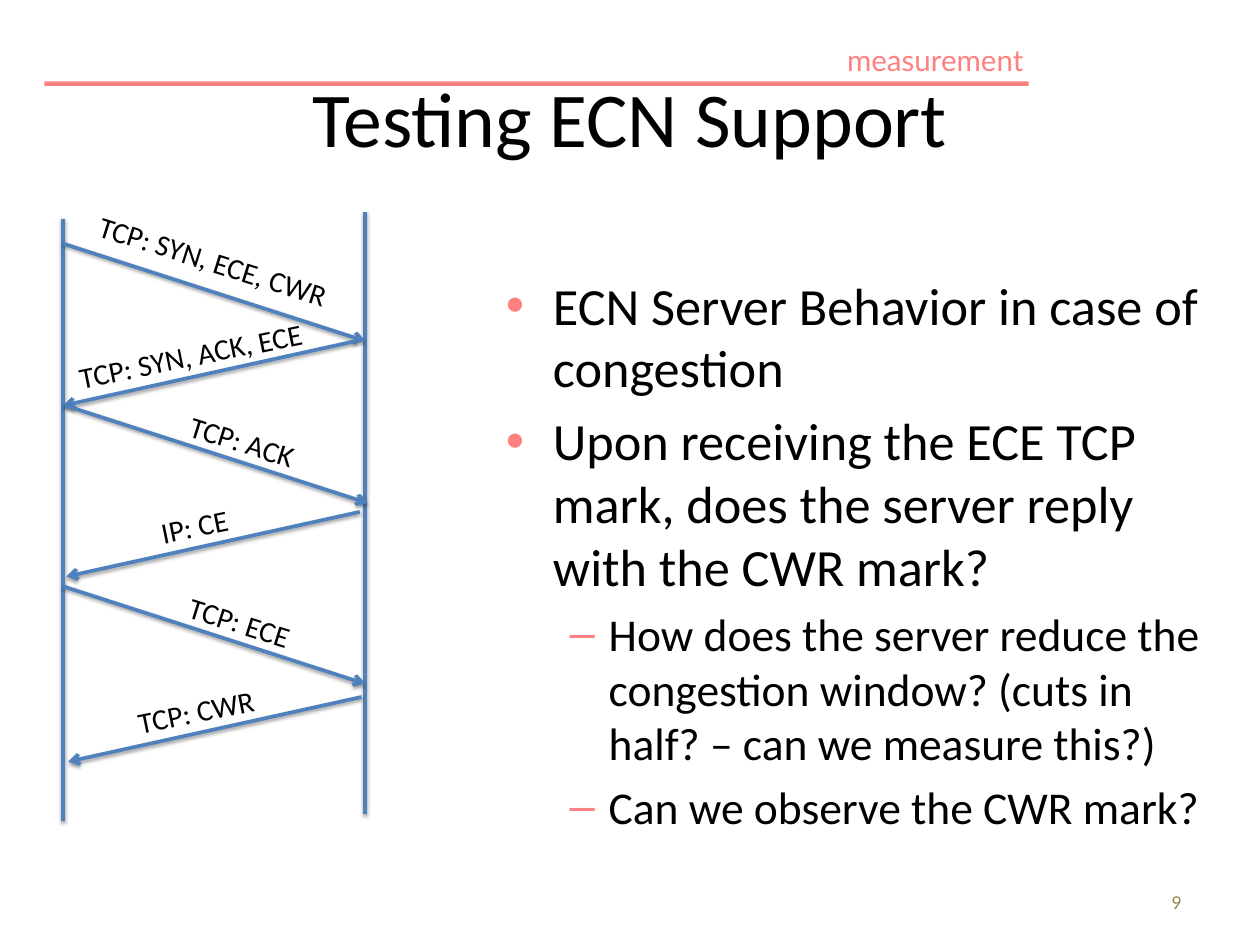
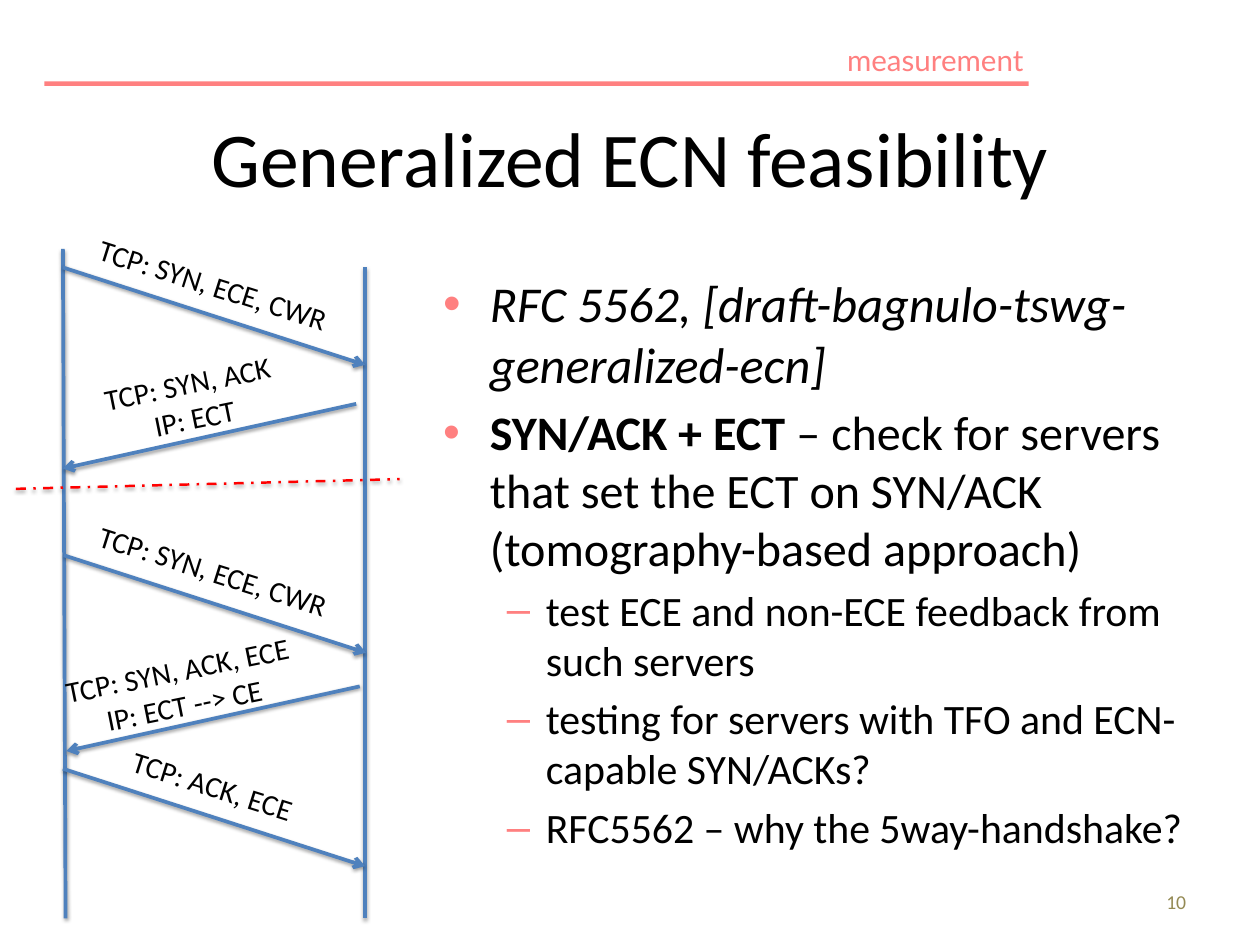
"""Build two slides on testing ECN support with message sequence diagrams."""
import dataclasses

import lxml.etree
import pptx
import pptx.dml.color
import pptx.enum.dml
import pptx.enum.shapes
import pptx.enum.text
import pptx.oxml
import pptx.oxml.ns
import pptx.util

Inches = pptx.util.Inches
Pt = pptx.util.Pt
qn = pptx.oxml.ns.qn
ALIGN = pptx.enum.text.PP_ALIGN
ANCHOR = pptx.enum.text.MSO_ANCHOR
AUTO_SIZE = pptx.enum.text.MSO_AUTO_SIZE


@dataclasses.dataclass(frozen=True)
class Theme:
    """Colours, fonts and type sizes shared by the slides."""
    accent: str = "FF8080"
    text: str = "000000"
    line: str = "4F81BD"
    divider: str = "FF0000"
    number: str = "948A54"
    font: str = "Calibri"
    section_font: str = "Lato"
    title_size: float = 63
    label_size: float = 24
    number_size: float = 16
    line_width: float = 3
    divider_width: float = 2


THEME = Theme()
SECTION = "measurement"
BAND_BOX = (0.5, 0.92, 11.11, 0.05)
SECTION_BOX = (9.44, 0.41, 2.17, 0.52)
NUMBER_BOX = (12.88, 9.98, 0.79, 0.39)
TEXT_INSETS = (0.14, 0.07)
SECTION_INSETS = (0.06, 0.06)
LABEL_INSETS = (0.1, 0.05)

BULLETS = [("•", 0.53, -0.53), ("–", 1.16, -0.44)]
REQUEST = {"step": (3.41, 1.1), "rotation": 17.5}
REPLY = {"step": (-3.31, 0.73), "rotation": 348.6}

SLIDES = [
    {
        "title": "Testing ECN Support",
        "title_top": 0.43,
        "number": "9",
        "body_box": (5.57, 3.01, 8.11, 6.73),
        "body": [
            (0, 42.5, [("ECN Server Behavior in case of congestion", "")]),
            (0, 42.5, [("Upon receiving the ECE TCP mark, does the server reply "
                        "with the CWR mark?", "")]),
            (1, 37, [("How does the server reduce the congestion window? "
                      "(cuts in half? – can we measure this?)", "")]),
            (1, 37, [("Can we observe the CWR mark?", "")]),
        ],
        "lifelines": [((0.71, 2.47), (0.71, 9.27)), ((4.12, 2.39), (4.12, 9.19))],
        "dividers": [],
        "messages": [
            (REQUEST, (0.71, 2.75), (0.95, 2.69, 2.91), ["TCP: SYN, ECE, CWR"]),
            (REPLY, (4.02, 3.85), (0.75, 3.76, 2.8), ["TCP: SYN, ACK, ECE"]),
            (REQUEST, (0.74, 4.58), (2.02, 4.73, 1.43), ["TCP: ACK"]),
            (REPLY, (4.06, 5.78), (1.71, 5.69, 0.97), ["IP: CE"]),
            (REQUEST, (0.71, 6.62), (2.01, 6.77, 1.39), ["TCP: ECE"]),
            (REPLY, (4.08, 7.87), (1.44, 7.78, 1.54), ["TCP: CWR"]),
        ],
    },
    {
        "title": "Generalized ECN feasibility",
        "title_top": 0.88,
        "number": "10",
        "body_box": (4.86, 3.01, 9.11, 6.73),
        "body": [
            (0, 40.8, [("RFC 5562, [draft-bagnulo-tswg-generalized-ecn]", "italic")]),
            (0, 39.1, [("SYN/ACK + ECT ", "bold"),
                       ("– check for servers that set the ECT on SYN/ACK "
                        "(tomography-based approach)", "")]),
            (1, 34, [("test ECE and non-ECE feedback from such servers", "")]),
            (1, 34, [("testing for servers with TFO and ECN-capable SYN/ACKs?", "")]),
            (1, 34, [("RFC5562 – why the 5way-handshake?", "")]),
        ],
        "lifelines": [((0.71, 2.81), (0.74, 10.37)), ((4.12, 3.02), (4.12, 10.37))],
        "dividers": [((0.18, 5.52), (4.51, 5.41))],
        "messages": [
            (REQUEST, (0.71, 3.02), (0.95, 2.96, 2.91), ["TCP: SYN, ECE, CWR"]),
            (REPLY, (4.02, 4.56), (1.09, 4.07, 2.13), ["TCP: SYN, ACK", "IP: ECT"]),
            (REPLY, (4.06, 7.75), (0.64, 7.31, 2.8),
             ["TCP: SYN, ACK, ECE", "IP: ECT --> CE"]),
            (REQUEST, (0.72, 6.27), (0.95, 6.19, 2.91), ["TCP: SYN, ECE, CWR"]),
            (REQUEST, (0.71, 8.68), (1.35, 8.62, 2.1), ["TCP: ACK, ECE"]),
        ],
    },
]


def rgb(value):
    """Return a colour object for a hex value."""
    return pptx.dml.color.RGBColor.from_string(value)


def format_run(run, size, color=THEME.text, font=THEME.font):
    """Set the font of a run."""
    run.font.size = Pt(size)
    run.font.name = font
    run.font.color.rgb = rgb(color)


def set_frame(frame, insets, wrap=True, anchor=ANCHOR.TOP, auto_size=AUTO_SIZE.NONE):
    """Set the margins and layout of a text frame."""
    frame.margin_left = frame.margin_right = Inches(insets[0])
    frame.margin_top = frame.margin_bottom = Inches(insets[1])
    frame.word_wrap = wrap
    frame.vertical_anchor = anchor
    frame.auto_size = auto_size


def add_text(slide, box, lines, size, align, insets, color=THEME.text,
             font=THEME.font, **layout):
    """Add a text box with one paragraph for each line."""
    shape = slide.shapes.add_textbox(*map(Inches, box))
    set_frame(shape.text_frame, insets, **layout)
    shape.text_frame.text = "\n".join(lines)
    for paragraph in shape.text_frame.paragraphs:
        paragraph.alignment = align
        for run in paragraph.runs:
            format_run(run, size, color, font)
    return shape


def add_title(slide, text, top):
    """Place and format the title placeholder."""
    title = slide.shapes.title
    title.left, title.top, title.width, title.height = map(
        Inches, (0.71, top, 12.8, 1.78))
    set_frame(title.text_frame, TEXT_INSETS, anchor=ANCHOR.MIDDLE)
    title.text_frame.text = text
    paragraph = title.text_frame.paragraphs[0]
    paragraph.alignment = ALIGN.CENTER
    format_run(paragraph.runs[0], THEME.title_size)


def add_frame(slide, number):
    """Add the band, section name and slide number."""
    band = slide.shapes.add_shape(
        pptx.enum.shapes.MSO_SHAPE.RECTANGLE, *map(Inches, BAND_BOX))
    band.shadow.inherit = False
    band.fill.solid()
    band.fill.fore_color.rgb = rgb(THEME.accent)
    band.line.fill.background()
    add_text(slide, SECTION_BOX, [SECTION], THEME.label_size, ALIGN.RIGHT,
             SECTION_INSETS, THEME.accent, THEME.section_font, wrap=False,
             anchor=ANCHOR.MIDDLE, auto_size=AUTO_SIZE.SHAPE_TO_FIT_TEXT)
    add_text(slide, NUMBER_BOX, [number], THEME.number_size, ALIGN.CENTER,
             TEXT_INSETS, THEME.number, anchor=ANCHOR.MIDDLE)


def set_bullet(paragraph, level):
    """Give a paragraph the bullet and indent of its level."""
    character, margin, indent = BULLETS[level]
    properties = paragraph._p.get_or_add_pPr()
    properties.set("marL", str(Inches(margin)))
    properties.set("indent", str(Inches(indent)))
    color = lxml.etree.SubElement(properties, qn("a:buClr"))
    lxml.etree.SubElement(color, qn("a:srgbClr"), val=THEME.accent)
    lxml.etree.SubElement(properties, qn("a:buFont"), typeface="Arial")
    lxml.etree.SubElement(properties, qn("a:buChar"), char=character)


def add_body(slide, box, items):
    """Add the bulleted text."""
    frame = slide.shapes.add_textbox(*map(Inches, box)).text_frame
    set_frame(frame, TEXT_INSETS)
    for index, (level, size, parts) in enumerate(items):
        paragraph = frame.add_paragraph() if index else frame.paragraphs[0]
        paragraph.level = level
        paragraph.space_before = Pt(round(size * 0.2, 1))
        set_bullet(paragraph, level)
        for text, style in parts:
            run = paragraph.add_run()
            run.text = text
            format_run(run, size)
            run.font.bold = style == "bold"
            run.font.italic = style == "italic"


def add_line(slide, start, end, color=THEME.line, width=THEME.line_width, arrow=False):
    """Add a line with a soft shadow and an optional arrowhead."""
    line = slide.shapes.add_connector(
        pptx.enum.shapes.MSO_CONNECTOR.STRAIGHT, *map(Inches, (*start, *end)))
    line.line.color.rgb = rgb(color)
    line.line.width = Pt(width)
    if arrow:
        lxml.etree.SubElement(line.line._get_or_add_ln(), qn("a:tailEnd"), type="arrow")
    effects = lxml.etree.SubElement(line._element.spPr, qn("a:effectLst"))
    shadow = lxml.etree.SubElement(
        effects, qn("a:outerShdw"), blurRad=str(Pt(3.1)), dist=str(Pt(1.6)),
        dir="5400000", rotWithShape="0")
    shade = lxml.etree.SubElement(shadow, qn("a:srgbClr"), val="000000")
    lxml.etree.SubElement(shade, qn("a:alpha"), val="38000")
    return line


def add_message(slide, kind, start, label, lines):
    """Add a message arrow and its slanted label."""
    end = [origin + step for origin, step in zip(start, kind["step"])]
    add_line(slide, start, end, arrow=True)
    height = 0.09 + 0.41 * len(lines)
    shape = add_text(slide, (*label, height), lines, THEME.label_size, ALIGN.CENTER,
                     LABEL_INSETS, wrap=False, auto_size=AUTO_SIZE.SHAPE_TO_FIT_TEXT)
    shape.rotation = kind["rotation"]


def build_slide(presentation, content):
    """Add one slide with its text and sequence diagram."""
    slide = presentation.slides.add_slide(presentation.slide_layouts[5])
    add_frame(slide, content["number"])
    add_title(slide, content["title"], content["title_top"])
    add_body(slide, content["body_box"], content["body"])
    for start, end in content["lifelines"]:
        add_line(slide, start, end)
    for message in content["messages"]:
        add_message(slide, *message)
    for start, end in content["dividers"]:
        divider = add_line(slide, start, end, THEME.divider, THEME.divider_width)
        divider.line.dash_style = pptx.enum.dml.MSO_LINE.DASH_DOT


def main():
    """Build and save the presentation."""
    presentation = pptx.Presentation()
    presentation.slide_width = Inches(14.22)
    presentation.slide_height = Inches(10.67)
    for content in SLIDES:
        build_slide(presentation, content)
    presentation.save("out.pptx")


if __name__ == "__main__":
    main()
